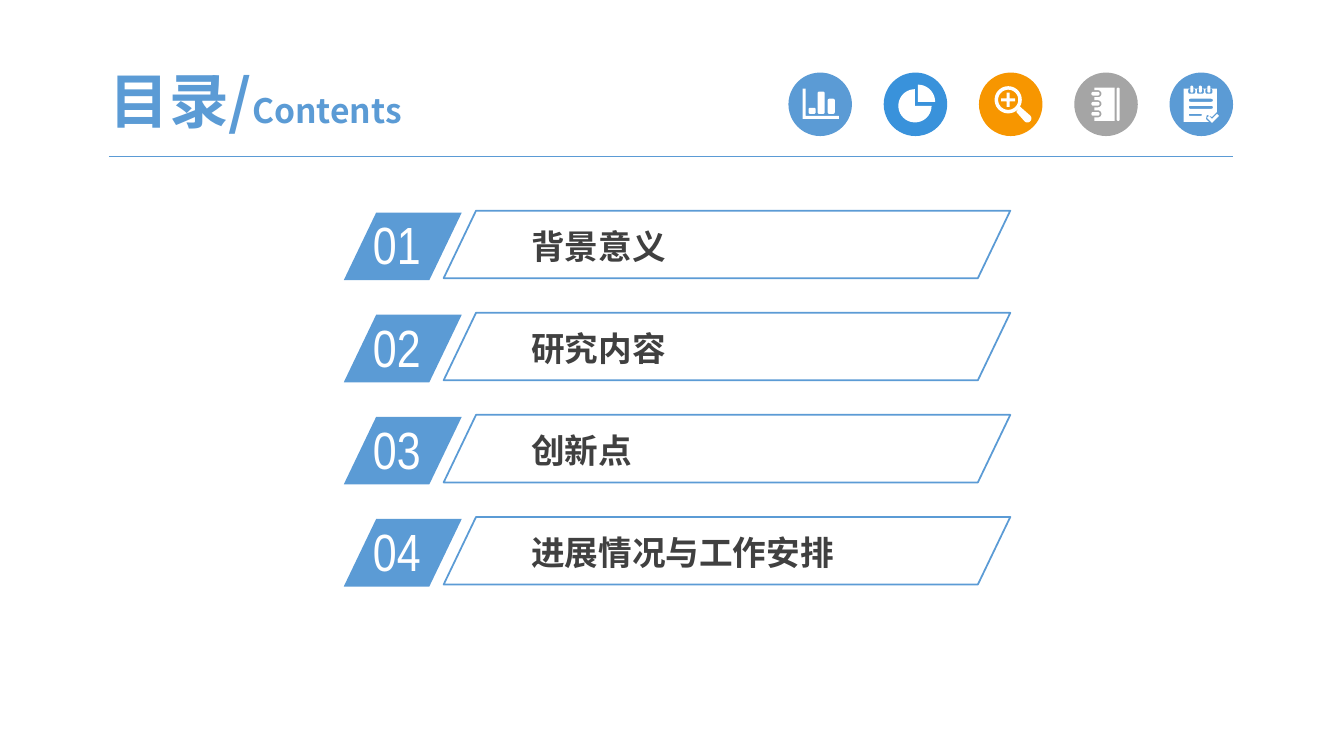
from math import cos, radians, sin

from lxml.etree import SubElement
from pptx import Presentation
from pptx.dml.color import RGBColor
from pptx.enum.shapes import MSO_CONNECTOR, MSO_SHAPE
from pptx.enum.text import MSO_ANCHOR, MSO_AUTO_SIZE, PP_ALIGN
from pptx.oxml.ns import qn
from pptx.util import Inches, Pt

COLORS = {
    "blue": "5B9BD5",
    "azure": "3992DB",
    "orange": "F79600",
    "gray": "A5A5A5",
    "dark": "404040",
    "white": "FFFFFF",
}
SANS = "Noto Sans CJK SC"
NARROW = "Arial Narrow"
ITEMS = ["背景意义", "研究内容", "创新点", "进展情况与工作安排"]


def rgb(name):
    return RGBColor.from_string(COLORS[name])


def write(para, text, size, font=SANS, color="blue", bold=False):
    """Append a formatted run, with the font set for Latin and Chinese."""
    run = para.add_run()
    run.text = text
    run.font.size = Pt(size)
    run.font.bold = bold
    run.font.color.rgb = rgb(color)
    run.font.name = font
    SubElement(run.font._element, qn("a:ea")).set("typeface", font)


def arc(x, y, r, start, end, steps=10):
    """Points on a circle, clockwise in degrees from three o'clock."""
    angles = [radians(start + (end - start) * i / steps) for i in range(steps + 1)]
    return [(x + r * cos(a), y + r * sin(a)) for a in angles]


def pill(x, y, w, h, r=0.015):
    """Outline of a rectangle with rounded corners."""
    left, right, top, low = x + r, x + w - r, y + r, y + h - r
    corners = [(left, top), (right, top), (right, low), (left, low)]
    return [
        point
        for i, (cx, cy) in enumerate(corners)
        for point in arc(cx, cy, r, 180 + 90 * i, 270 + 90 * i, 4)
    ]


def cross(x, y, reach=0.07, half=0.015):
    """Outline of a plus sign, one arm turned four times."""
    arm = [(-half, -reach), (half, -reach), (half, -half)]
    points = []
    for _ in range(4):
        points += [(x + dx, y + dy) for dx, dy in arm]
        arm = [(-dy, dx) for dx, dy in arm]
    return points


# Icon outlines are in inches from the top left of their disc.
def chart():
    axes = [(0.14, 0.16), (0.17, 0.16), (0.17, 0.43),
            (0.5, 0.43), (0.5, 0.46), (0.14, 0.46)]
    bars = [(0.2, 0.06), (0.29, 0.22), (0.39, 0.15)]
    return [axes] + [pill(x, 0.41 - h, 0.07, h) for x, h in bars]


def pie():
    slice_ = [(0.34, 0.29)] + arc(0.34, 0.29, 0.17, -90, 0)
    rest = [(0.31, 0.33)] + arc(0.31, 0.33, 0.165, 0, 270, 30)
    return [slice_, rest]


def lens():
    rings = [arc(0.29, 0.27, r, 0, 360, 36) for r in (0.135, 0.1)]
    handle = [(0.37, 0.39), (0.41, 0.34)] + arc(0.48, 0.455, 0.04, -45, 135)
    return rings + [cross(0.29, 0.27), handle]


def book():
    holes = [0.41, 0.31, 0.21]
    cover = [(0.2, 0.15), (0.4, 0.15), (0.4, 0.48), (0.2, 0.48)]
    for y in holes:
        cover += [(0.2, y + 0.035), *arc(0.235, y, 0.035, 90, -90), (0.2, y - 0.035)]
    rings = [pill(0.17, y - 0.018, 0.08, 0.036) for y in holes]
    return [cover, pill(0.42, 0.15, 0.03, 0.33)] + rings


def memo():
    sheet = [(0.14, 0.16), (0.47, 0.16), (0.47, 0.39), (0.42, 0.44),
             (0.37, 0.42), (0.36, 0.46), (0.39, 0.49), (0.14, 0.49)]
    tick = [(0.37, 0.45), (0.39, 0.43), (0.42, 0.46),
            (0.47, 0.41), (0.49, 0.43), (0.42, 0.5)]
    rings = []
    for x in (0.22, 0.305, 0.39):
        rings += [pill(x - 0.035, 0.16, 0.07, 0.05), pill(x - 0.015, 0.13, 0.03, 0.07)]
    lines = [(0.26, 0.24, 0.03), (0.33, 0.24, 0.03), (0.41, 0.13, 0.02)]
    return [sheet, tick] + rings + [pill(0.19, y, w, h, h / 2) for y, w, h in lines]


class Deck:
    def __init__(self):
        self.prs = Presentation()
        self.prs.slide_width = Inches(13.33)
        self.prs.slide_height = Inches(7.5)
        self.slide = self.prs.slides.add_slide(self.prs.slide_layouts[5])
        self.shapes = self.slide.shapes

    def title(self, x, y, w, h, runs):
        box = self.shapes.title
        box.left, box.top, box.width, box.height = map(Inches, (x, y, w, h))
        frame = box.text_frame
        frame.auto_size = MSO_AUTO_SIZE.NONE
        frame.vertical_anchor = MSO_ANCHOR.MIDDLE
        frame.paragraphs[0].alignment = PP_ALIGN.CENTER
        for text, size in runs:
            write(frame.paragraphs[0], text, size, bold=True)

    def text(self, x, y, w, h, text, **style):
        box = self.shapes.add_textbox(*map(Inches, (x, y, w, h)))
        box.text_frame.word_wrap = True
        write(box.text_frame.paragraphs[0], text, **style)

    def paint(self, shape, fill=None, line=None):
        shape.shadow.inherit = False
        if fill:
            shape.fill.solid()
            shape.fill.fore_color.rgb = rgb(fill)
        else:
            shape.fill.background()
        if line:
            shape.line.color.rgb = rgb(line)
            shape.line.width = Pt(1.25)
        else:
            shape.line.fill.background()

    def shape(self, kind, x, y, w, h, **style):
        shape = self.shapes.add_shape(kind, *map(Inches, (x, y, w, h)))
        self.paint(shape, **style)
        return shape

    def slant(self, x, y, w, h, **style):
        shape = self.shape(MSO_SHAPE.PARALLELOGRAM, x, y, w, h, **style)
        shape.adjustments[0] = 0.48

    def icon(self, x, y, color, loops):
        self.shape(MSO_SHAPE.OVAL, x, y, 0.63, 0.63, fill=color)
        paths = [[(Inches(x + dx), Inches(y + dy)) for dx, dy in loop] for loop in loops]
        pen = self.shapes.build_freeform(*paths[0][0])
        for path in paths:
            pen.move_to(*path[0])
            pen.add_line_segments(path[1:], close=True)
        self.paint(pen.convert_to_shape(), fill="white")

    def rule(self, x, y, end):
        line = self.shapes.add_connector(
            MSO_CONNECTOR.STRAIGHT, Inches(x), Inches(y), Inches(end), Inches(y))
        line.line.color.rgb = rgb("blue")
        line.line.width = Pt(0.5)
        SubElement(line._element.spPr, qn("a:effectLst"))


def main():
    deck = Deck()
    deck.title(0.89, 0.63, 3.29, 0.72, [("目录/", 42.6), ("Contents", 24)])
    deck.rule(1.08, 1.55, 12.23)

    for i, item in enumerate(ITEMS):
        y = 2.09 + 1.013 * i
        deck.slant(3.41, y + 0.02, 1.17, 0.67, fill="blue")
        deck.text(3.6, y - 0.03, 1.12, 0.73, f"{i + 1:02}",
                  size=37.4, font=NARROW, color="white")
        deck.text(5.17, y + 0.1, 4.12, 0.5, item, size=24, color="dark", bold=True)
        deck.slant(4.4, y, 5.62, 0.67, line="blue")

    icons = [("blue", chart), ("azure", pie), ("orange", lens),
             ("gray", book), ("blue", memo)]
    for i, (color, draw) in enumerate(icons):
        deck.icon(7.82 + 0.945 * i, 0.72, color, draw())

    deck.prs.save("out.pptx")


if __name__ == "__main__":
    main()
